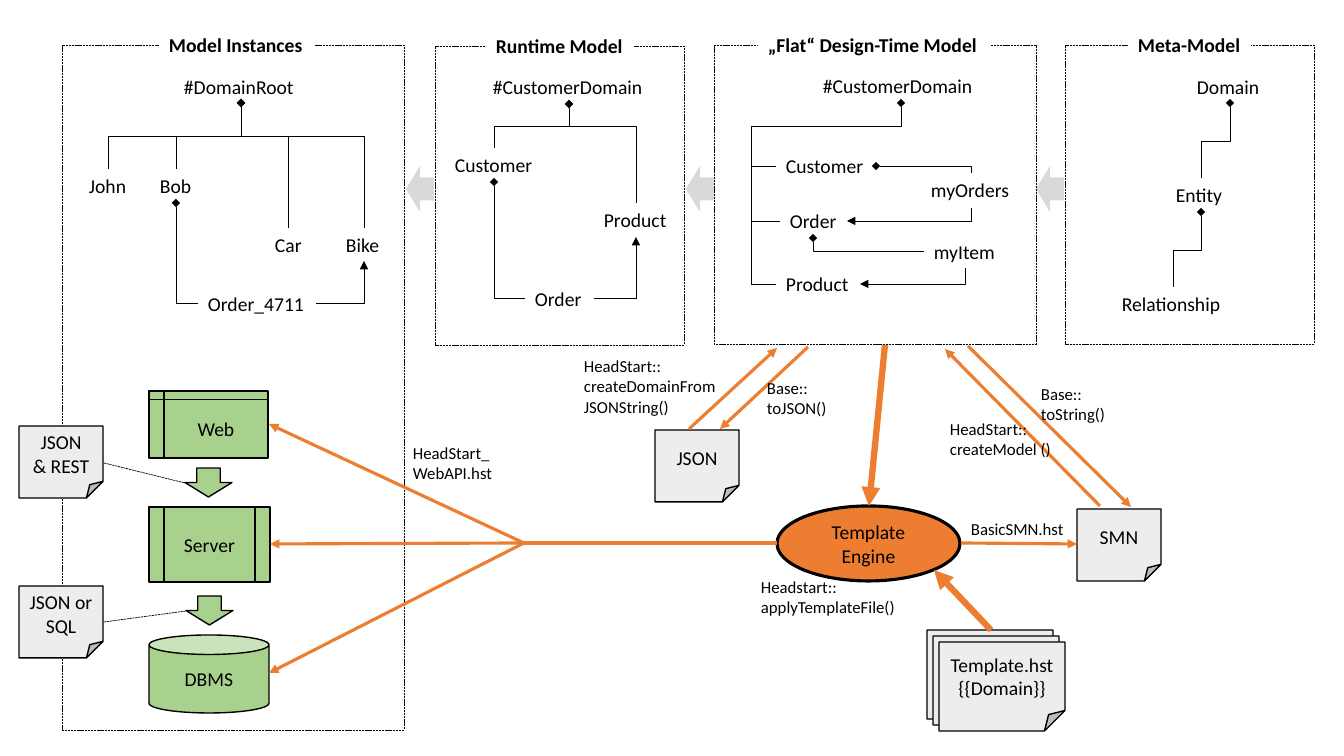
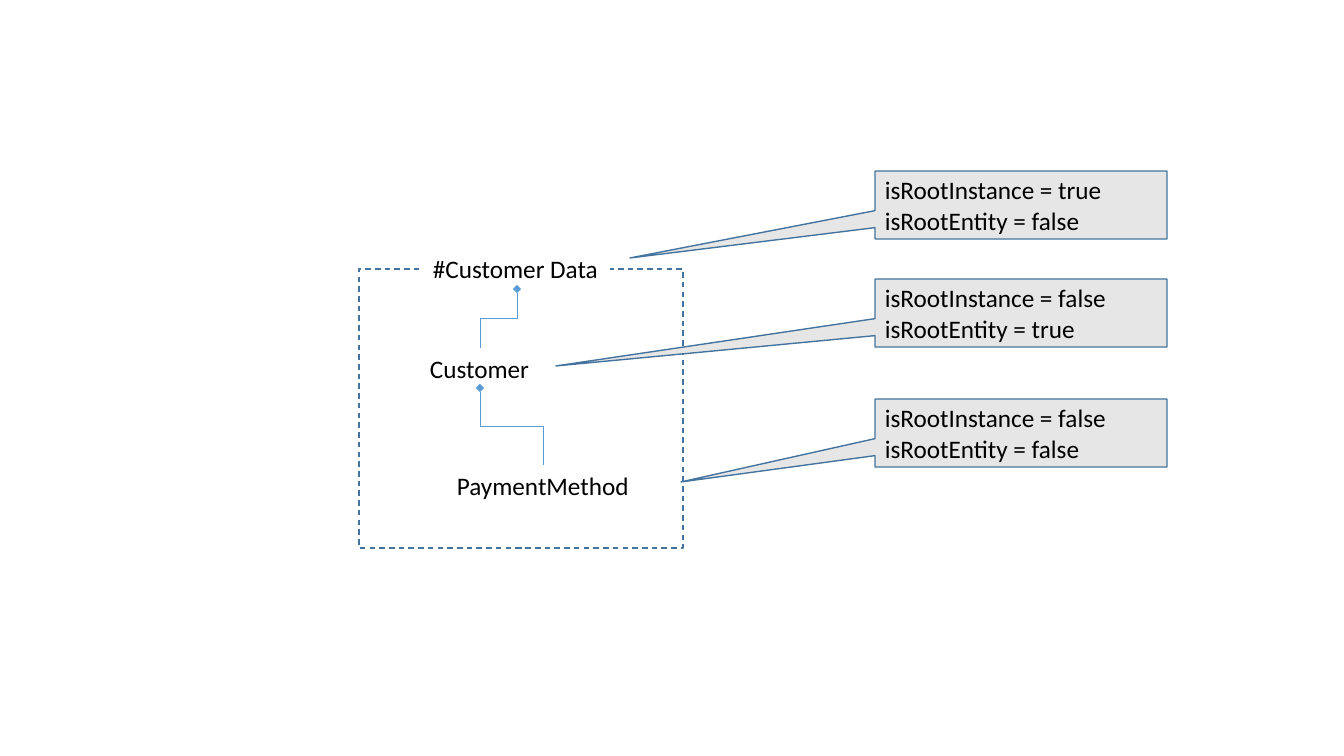
from dataclasses import dataclass
from typing import Any, Optional

from lxml import etree
from pptx import Presentation
from pptx import util as u
from pptx.dml import color
from pptx.enum import dml, shapes, text
from pptx.oxml import ns
from pptx.slide import Slide

Point = tuple[int, int]
SHAPE = shapes.MSO_SHAPE
ALIGN = text.PP_ALIGN
EMU_PER_PIXEL = 12192000 / 1344


@dataclass(frozen=True)
class Theme:
    font: str = "Calibri"
    ink: str = "000000"
    paper: str = "FFFFFF"
    flow: str = "D9D9D9"
    document: str = "EDEDED"
    tier: str = "A9D18E"
    engine: str = "ED7D31"
    relation: str = "5B9BD5"
    outline: str = "43739E"
    callout: str = "E7E6E6"
    small: int = 12
    normal: int = 14
    large: int = 18
    hairline: float = 0.5
    thin: float = 1
    medium: float = 2.25
    thick: float = 4.5


THEME = Theme()


@dataclass(frozen=True)
class Label:
    words: str
    left: int
    top: int
    width: int
    size: int = THEME.normal
    bold: bool = False
    fill: Optional[str] = None
    wrap: bool = False


@dataclass(frozen=True)
class Panel:
    left: int
    top: int
    width: int
    height: int
    heading: str
    heading_left: int
    heading_width: int


@dataclass(frozen=True)
class Node:
    kind: Any
    left: int
    top: int
    width: int
    height: int
    fill: Optional[str] = None
    words: str = ""
    line: Optional[str] = THEME.ink
    weight: float = THEME.thin
    dash: Any = None
    adjust: tuple[float, ...] = ()
    size: int = THEME.normal
    align: Any = ALIGN.CENTER


@dataclass(frozen=True)
class Arrow:
    start: Point
    end: Point
    weight: float = THEME.medium
    head: str = ""
    tail: str = "triangle"
    line: str = THEME.engine
    dash: Any = None


@dataclass(frozen=True)
class Elbow:
    start: Point
    end: Point
    bends: tuple[int, ...] = ()
    vertical: bool = True
    head: str = "diamond"
    tail: str = ""
    line: str = THEME.ink


@dataclass(frozen=True)
class Callout:
    top: int
    tip: Point
    words: str


def px(length: float) -> u.Emu:
    return u.Emu(round(length * EMU_PER_PIXEL))


def rgb(value: str) -> color.RGBColor:
    return color.RGBColor.from_string(value)


def write(frame: Any, words: str, *, size: int, bold: bool = False,
          align: Any = ALIGN.LEFT) -> None:
    frame.text = words
    for paragraph in frame.paragraphs:
        paragraph.alignment = align
        font = paragraph.runs[0].font
        font.name, font.size, font.bold = THEME.font, u.Pt(size), bold
        font.color.rgb = rgb(THEME.ink)


def set_guides(geometry: Any, guides: dict[str, float]) -> None:
    values = geometry.find(ns.qn("a:avLst"))
    if values is None:
        values = etree.SubElement(geometry, ns.qn("a:avLst"))
    for default in list(values):
        values.remove(default)
    for name, ratio in guides.items():
        etree.SubElement(values, ns.qn("a:gd"), name=name, fmla=f"val {round(ratio * 100000)}")


def draw_label(slide: Slide, label: Label) -> None:
    height = round((label.words.count("\n") + 1) * label.size * 1.68) + 10
    box = slide.shapes.add_textbox(*map(px, (label.left, label.top, label.width, height)))
    if label.fill:
        box.fill.solid()
        box.fill.fore_color.rgb = rgb(label.fill)
    box.text_frame.word_wrap = label.wrap
    box.text_frame.auto_size = text.MSO_AUTO_SIZE.SHAPE_TO_FIT_TEXT
    write(box.text_frame, label.words, size=label.size, bold=label.bold)


def style_line(line: Any, colour: str, weight: float, dash: Any) -> None:
    line.color.rgb = rgb(colour)
    line.width = u.Pt(weight)
    if dash is not None:
        line.dash_style = dash


def draw_node(slide: Slide, node: Node) -> None:
    shape = slide.shapes.add_shape(
        node.kind, *map(px, (node.left, node.top, node.width, node.height)))
    shape.shadow.inherit = False
    if node.adjust:
        names = ("adj",) if len(node.adjust) == 1 else ("adj1", "adj2")
        set_guides(shape._element.spPr.find(ns.qn("a:prstGeom")), dict(zip(names, node.adjust)))
    if node.fill:
        shape.fill.solid()
        shape.fill.fore_color.rgb = rgb(node.fill)
    else:
        shape.fill.background()
    if node.line:
        style_line(shape.line, node.line, node.weight, node.dash)
    else:
        shape.line.fill.background()
    if node.words:
        shape.text_frame.word_wrap = True
        shape.text_frame.vertical_anchor = text.MSO_ANCHOR.MIDDLE
        write(shape.text_frame, node.words, size=node.size, align=node.align)


def draw_panel(slide: Slide, panel: Panel) -> None:
    draw_node(slide, Node(SHAPE.RECTANGLE, panel.left, panel.top, panel.width, panel.height,
                          weight=THEME.hairline, dash=dml.MSO_LINE.SQUARE_DOT))
    draw_label(slide, Label(panel.heading, panel.heading_left, panel.top - 17,
                            panel.heading_width, bold=True, fill=THEME.paper))


def finish_connector(connector: Any, link: Arrow | Elbow, weight: float, dash: Any) -> Any:
    style_line(connector.line, link.line, weight, dash)
    properties = connector._element.spPr
    outline = properties.find(ns.qn("a:ln"))
    for tag, ending in (("a:headEnd", link.head), ("a:tailEnd", link.tail)):
        if ending:
            etree.SubElement(outline, ns.qn(tag), type=ending)
    etree.SubElement(properties, ns.qn("a:effectLst"))
    return properties.find(ns.qn("a:prstGeom"))


def draw_arrow(slide: Slide, arrow: Arrow) -> None:
    connector = slide.shapes.add_connector(
        shapes.MSO_CONNECTOR.STRAIGHT, *map(px, arrow.start + arrow.end))
    finish_connector(connector, arrow, arrow.weight, arrow.dash)


def draw_elbow(slide: Slide, elbow: Elbow) -> None:
    (x1, y1), (x2, y2) = elbow.start, elbow.end
    ends: tuple[float, ...] = (x1, y1, x2, y2)
    turn = 0
    if elbow.vertical:
        side = 1 if x2 > x1 else -1
        turn = 270 if side > 0 else 90
        middle_x, middle_y = (x1 + x2) / 2, (y1 + y2) / 2
        half_x, half_y = side * (y2 - y1) / 2, side * (x2 - x1) / 2
        ends = (middle_x + half_x, middle_y - half_y, middle_x - half_x, middle_y + half_y)
    connector = slide.shapes.add_connector(shapes.MSO_CONNECTOR.ELBOW, *map(px, ends))
    connector.rotation = turn
    geometry = finish_connector(connector, elbow, THEME.hairline, None)
    geometry.set("prst", f"bentConnector{len(elbow.bends) + 2}")
    guides = {}
    for index, bend in enumerate(elbow.bends):
        axis = (index + elbow.vertical) % 2
        start, end = elbow.start[axis], elbow.end[axis]
        guides[f"adj{index + 1}"] = (bend - start) / (end - start)
    set_guides(geometry, guides)


def draw_callout(slide: Slide, callout: Callout) -> None:
    left, width, height = 875, 292, 68
    reach = ((callout.tip[0] - left) / width - 0.5,
             (callout.tip[1] - callout.top) / height - 0.5)
    draw_node(slide, Node(SHAPE.RECTANGULAR_CALLOUT, left, callout.top, width, height,
                          THEME.callout, callout.words, THEME.outline, adjust=reach,
                          size=THEME.large, align=ALIGN.LEFT))


def document(left: int, top: int, words: str = "", width: int = 84, height: int = 72) -> Node:
    return Node(SHAPE.FOLDED_CORNER, left, top, width, height, THEME.document, words,
                adjust=(0.23,))


PANELS = [
    Panel(62, 45, 342, 685, "Model Instances", 159, 155),
    Panel(435, 46, 249, 299, "Runtime Model", 486, 148),
    Panel(714, 45, 322, 299, "„Flat“ Design-Time Model", 758, 232),
    Panel(1065, 45, 249, 299, "Meta-Model", 1128, 123),
]
MODEL_FLOWS = [Node(SHAPE.LEFT_ARROW, left, 166, 28, 46, THEME.flow, line=None)
               for left in (406, 686, 1036)]
NODES = [
    document(655, 430, "JSON"), document(1077, 509, "SMN"),
    document(19, 426, "JSON\n& REST"), document(19, 586, "JSON or\nSQL"),
    *[document(927 + 6 * page, 630 + 6 * page, "Template.hst\n{{Domain}}" if page == 2 else "",
               126, 89) for page in range(3)],
    Node(SHAPE.FLOWCHART_INTERNAL_STORAGE, 149, 391, 119, 67, THEME.tier, "Web"),
    Node(SHAPE.FLOWCHART_PREDEFINED_PROCESS, 149, 507, 121, 75, THEME.tier, "Server"),
    Node(SHAPE.CAN, 149, 635, 120, 78, THEME.tier, "DBMS"),
    Node(SHAPE.DOWN_ARROW, 185, 468, 47, 29, THEME.tier),
    Node(SHAPE.DOWN_ARROW, 186, 596, 47, 29, THEME.tier),
    Node(SHAPE.OVAL, 777, 506, 183, 75, THEME.engine, "Template\nEngine",
         weight=THEME.medium),
]
FORK = (524, 543)
ARROWS = [
    *[Arrow(FORK, tier) for tier in ((269, 424), (270, 544), (269, 673))],
    Arrow((777, 543), FORK, tail=""),
    Arrow((991, 630), (934, 570), THEME.thick), Arrow((885, 345), (869, 506), THEME.thick),
    Arrow((961, 543), (1077, 544)), Arrow((968, 346), (1131, 507)),
    Arrow((1100, 506), (945, 349)), Arrow((689, 429), (777, 348)),
    Arrow((808, 347), (720, 429)),
    *[Arrow(start, end, THEME.hairline, tail="", line=THEME.ink, dash=dml.MSO_LINE.SQUARE_DOT)
      for start, end in (((104, 463), (185, 483)), ((104, 622), (186, 611)))],
]
ELBOWS = [
    *[Elbow((241, 103), child, (136,))
      for child in ((108, 169), (176, 169), (288, 228), (364, 228))],
    Elbow((176, 203), (198, 303)),
    Elbow((316, 303), (364, 261), vertical=False, head="", tail="triangle"),
    *[Elbow((569, 104), child, (126,)) for child in ((494, 148), (636, 203))],
    Elbow((494, 182), (525, 298)),
    Elbow((594, 298), (636, 237), vertical=False, head="", tail="triangle"),
    Elbow((901, 103), (776, 166), (126, 751)),
    Elbow((776, 166), (780, 221), (751,), vertical=False, head=""),
    Elbow((780, 221), (776, 284), (751,), vertical=False, head=""),
    Elbow((876, 166), (971, 173), vertical=False),
    Elbow((971, 208), (847, 221), head="", tail="triangle"),
    Elbow((813, 238), (924, 251)),
    Elbow((860, 284), (965, 268), vertical=False, head="triangle"),
    Elbow((1230, 103), (1201, 178), (141,)), Elbow((1201, 212), (1173, 287), (250,)),
]
LABELS = [Label(*entry) for entry in (
    ("#DomainRoot", 174, 70, 134), ("John", 79, 169, 58), ("Bob", 150, 169, 52),
    ("Car", 265, 228, 47), ("Bike", 336, 228, 55), ("Order_4711", 198, 287, 118),
    ("#CustomerDomain", 483, 70, 171), ("Customer", 445, 148, 100),
    ("Product", 594, 203, 85), ("Order", 525, 282, 69),
    ("#CustomerDomain", 813, 69, 175), ("Customer", 776, 149, 100), ("Order", 780, 204, 68),
    ("Product", 776, 267, 84), ("myOrders", 921, 173, 99), ("myItem", 924, 235, 82),
    ("Domain", 1187, 70, 85), ("Entity", 1166, 178, 69), ("Relationship", 1112, 287, 123))]
CALLS = [Label(*entry, size=THEME.small) for entry in (
    ("Base::\ntoJSON()", 757, 373, 81), ("Base::\ntoString()", 1031, 379, 85),
    ("BasicSMN.hst", 961, 514, 114), ("HeadStart_\nWebAPI.hst", 403, 438, 101),
    ("HeadStart::\ncreateDomainFrom\nJSONString()", 574, 351, 153),
    ("Headstart::\napplyTemplateFile()", 751, 572, 155))]
CREATE_MODEL = Label("HeadStart::\ncreateModel ()", 940, 414, 151, THEME.small, wrap=True)
CUSTOMER_DATA = [
    Node(SHAPE.RECTANGLE, 359, 269, 324, 279, line=THEME.outline, dash=dml.MSO_LINE.DASH),
    Label("#Customer Data", 423, 248, 187, THEME.large, fill=THEME.paper),
    Label("Customer", 420, 348, 121, THEME.large),
    Label("PaymentMethod", 447, 465, 194, THEME.large),
    Elbow((517, 289), (480, 348), (318,), line=THEME.relation),
    Elbow((480, 388), (543, 465), (426,), line=THEME.relation),
    Callout(171, (630, 258), "isRootInstance = true\nisRootEntity = false"),
    Callout(279, (556, 366), "isRootInstance = false\nisRootEntity = true"),
    Callout(399, (681, 482), "isRootInstance = false\nisRootEntity = false"),
]
ARCHITECTURE = [*MODEL_FLOWS, *PANELS, *NODES, *ARROWS, *ELBOWS, *LABELS, *CALLS, CREATE_MODEL]
PAINTERS = {Label: draw_label, Panel: draw_panel, Node: draw_node, Arrow: draw_arrow,
            Elbow: draw_elbow, Callout: draw_callout}

deck = Presentation()
deck.slide_width, deck.slide_height = px(1344), px(756)
for parts in (ARCHITECTURE, CUSTOMER_DATA):
    page = deck.slides.add_slide(deck.slide_layouts[6])
    for part in parts:
        PAINTERS[type(part)](page, part)
deck.save("out.pptx")
